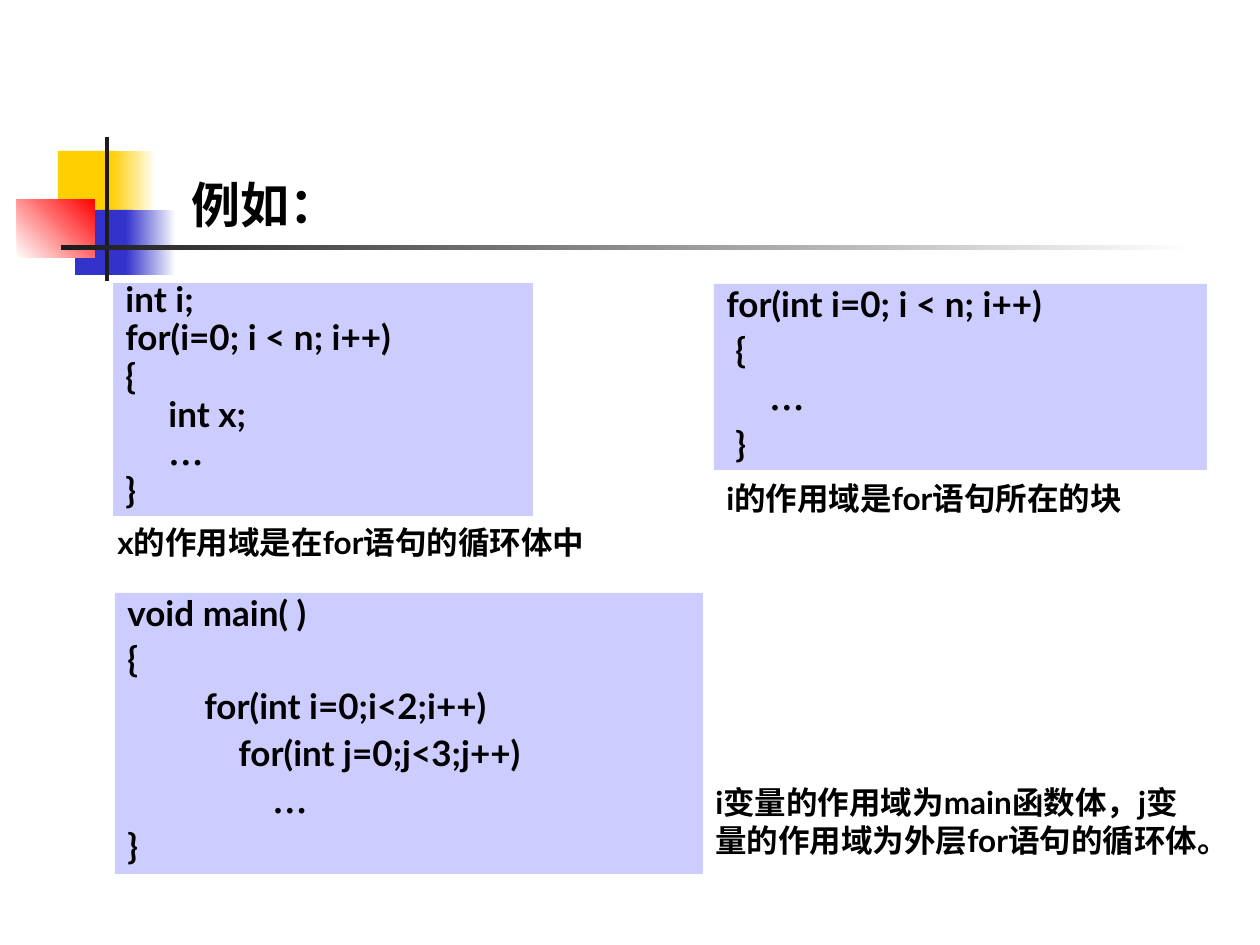
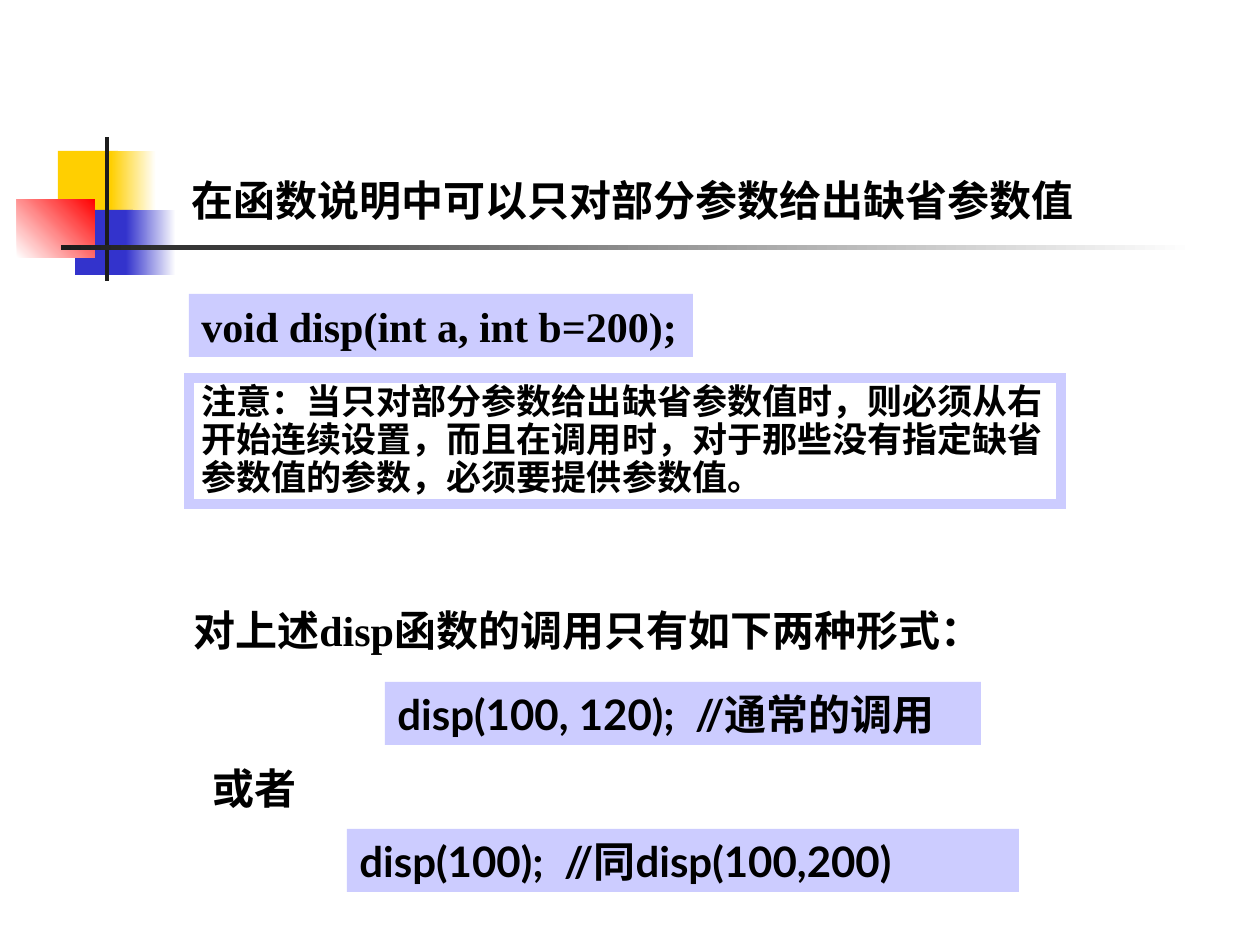
from itertools import groupby

from pptx import Presentation
from pptx.dml.color import RGBColor
from pptx.enum.shapes import MSO_SHAPE
from pptx.enum.text import MSO_ANCHOR, MSO_AUTO_SIZE, PP_ALIGN
from pptx.oxml.ns import qn
from pptx.util import Emu, Pt

EMU_PER_PX = 914400 / 126
LATO, CJK, TIMES = "Lato", "Noto Sans CJK SC", "Times New Roman"
BLACK, WHITE, LAVENDER = "000000", "FFFFFF", "CCCCFF"
YELLOW, BLUE, RED, CHARCOAL = "FFCF01", "3333CC", "FF0000", "1C1C1C"

DECORATION = [
    ((58, 151, 60, 66), [YELLOW], 0),
    ((111, 151, 45, 66), [YELLOW, WHITE], 0),
    ((75, 210, 58, 65), [BLUE], 0),
    ((126, 210, 50, 65), [BLUE, WHITE], 0),
    ((17, 199, 78, 59), [WHITE, RED], 45),
    ((105, 137, 4, 144), [CHARCOAL], 0),
    ((61, 245, 1134, 5), [CHARCOAL, WHITE], 0),
]


def px(length):
    """Turn pixels into EMU."""
    return Emu(round(length * EMU_PER_PX))


def color(value):
    """Turn a hex string into a colour."""
    return RGBColor.from_string(value)


def add_rectangle(slide, box, fills=(), angle=0):
    """Add a plain rectangle with no fill, one colour or a gradient."""
    shape = slide.shapes.add_shape(MSO_SHAPE.RECTANGLE, *map(px, box))
    shape.shadow.inherit = False
    shape.line.fill.background()
    if len(fills) == 2:
        shape.fill.gradient()
        shape.fill.gradient_angle = angle
        for stop, value in zip(shape.fill.gradient_stops, fills):
            stop.color.rgb = color(value)
    elif fills:
        shape.fill.solid()
        shape.fill.fore_color.rgb = color(fills[0])
    else:
        shape.fill.background()
    return shape


def add_border(shape, value, width):
    """Give a shape a border with square corners."""
    shape.line.color.rgb = color(value)
    shape.line.width = Pt(width)
    outline = shape._element.spPr.find(qn("a:ln"))
    outline.append(outline.makeelement(qn("a:miter"), {"lim": "800000"}))


def add_run(paragraph, text, font_name, east_asian, size):
    """Add one bold black run."""
    run = paragraph.add_run()
    run.text = text
    run.font.name = font_name
    run.font.size = Pt(size)
    run.font.bold = True
    run.font.color.rgb = color(BLACK)
    properties = run.font._element
    typeface = properties.makeelement(qn("a:ea"), {"typeface": east_asian})
    properties.find(qn("a:latin")).addnext(typeface)


def script_of(char):
    """Name the script that decides the font of a character."""
    if ord(char) > 0x2E80:
        return "cjk"
    return "dots" if char == "…" else "latin"


def write_lines(shape, lines, size, latin=LATO, cjk=CJK, spacing=None, before=0,
                align=PP_ALIGN.LEFT, wrap=True):
    """Fill a shape with (indent, text) lines."""
    frame = shape.text_frame
    frame.word_wrap = wrap
    frame.auto_size = MSO_AUTO_SIZE.SHAPE_TO_FIT_TEXT
    frame.vertical_anchor = MSO_ANCHOR.TOP
    fonts = {"latin": latin, "cjk": cjk, "dots": TIMES}
    for index, (indent, text) in enumerate(lines):
        paragraph = frame.add_paragraph() if index else frame.paragraphs[0]
        paragraph.alignment = align
        paragraph.line_spacing = spacing
        paragraph.space_before = Pt(before)
        if indent:
            paragraph._p.get_or_add_pPr().set("marL", str(px(indent)))
        for script, chars in groupby(text, script_of):
            east_asian = CJK if script == "cjk" else fonts[script]
            add_run(paragraph, "".join(chars), fonts[script], east_asian, size)


def add_text(slide, box, text, size, **style):
    """Add a one-paragraph text box."""
    shape = slide.shapes.add_textbox(*map(px, box))
    write_lines(shape, [(0, text)], size, **style)
    return shape


def add_code(slide, box, lines, size=20, **style):
    """Add code on a lavender panel."""
    panel = add_rectangle(slide, box, [LAVENDER])
    write_lines(panel, lines, size, **style)


def add_titled_slide(presentation, title, box, size):
    """Add a slide with the shared decoration and a title."""
    slide = presentation.slides.add_slide(presentation.slide_layouts[6])
    for place, fills, angle in DECORATION:
        add_rectangle(slide, place, fills, angle)
    frame = add_text(slide, box, title, size, cjk=LATO).text_frame
    frame.auto_size = MSO_AUTO_SIZE.NONE
    frame.vertical_anchor = MSO_ANCHOR.BOTTOM
    return slide


def build_scope_slide(presentation):
    """Show the scope of loop variables."""
    slide = add_titled_slide(presentation, "例如：", (179, 147, 178, 93), 28)
    dense = {"spacing": 0.7, "before": 5, "align": PP_ALIGN.JUSTIFY}
    loose = {"spacing": 0.8, "before": 7.5, "align": PP_ALIGN.JUSTIFY}
    add_code(slide, (113, 283, 420, 233), [
        (0, "int i;"), (0, "for(i=0; i < n; i++)"), (0, "{"),
        (43, "int x;"), (43, "…"), (0, "}")], **dense)
    add_code(slide, (714, 284, 493, 186), [
        (0, "for(int i=0; i < n; i++)"), (9, "{"), (43, "…"), (9, "}")], **loose)
    add_code(slide, (115, 593, 588, 281), [
        (0, "void main( )"), (0, "{"), (77, "for(int i=0;i<2;i++)"),
        (111, "for(int j=0;j<3;j++)"), (145, "…"), (0, "}")], **loose)
    for box, note in [
        ((105, 517, 524, 88), "x的作用域是在for语句的循环体中"),
        ((703, 777, 514, 126), "i变量的作用域为main函数体，j变量的作用域为外层for语句的循环体。"),
        ((714, 473, 431, 88), "i的作用域是for语句所在的块"),
    ]:
        add_text(slide, box, note, 18, before=11.2)


def build_default_slide(presentation):
    """Show default values for some of the parameters."""
    slide = add_titled_slide(presentation, "在函数说明中可以只对部分参数给出缺省参数值",
                             (179, 158, 945, 73), 24)
    notice = add_rectangle(slide, (189, 378, 872, 126))
    add_border(notice, LAVENDER, 6)
    write_lines(notice, [(0, "注意：当只对部分参数给出缺省参数值时，则必须从右开始连续设置，"
                             "而且在调用时，对于那些没有指定缺省参数值的参数，必须要提供参数值。")],
                20, spacing=0.9, before=5)
    add_code(slide, (189, 294, 504, 63), [(0, "void disp(int a, int b=200);")], 24,
             latin=TIMES)
    for box, call in [
        ((347, 829, 672, 63), "disp(100);  //同disp(100,200)"),
        ((385, 682, 596, 63), "disp(100, 120);  //通常的调用"),
    ]:
        add_code(slide, box, [(0, call)], 24, cjk=TIMES, before=15)
    add_text(slide, (181, 598, 834, 63), "对上述disp函数的调用只有如下两种形式：", 24,
             latin=TIMES, wrap=False)
    add_text(slide, (200, 756, 120, 63), "或者", 24, cjk=TIMES)


def main():
    """Build and save the presentation."""
    presentation = Presentation()
    presentation.slide_width = px(1260)
    presentation.slide_height = px(945)
    build_scope_slide(presentation)
    build_default_slide(presentation)
    presentation.save("out.pptx")


if __name__ == "__main__":
    main()
